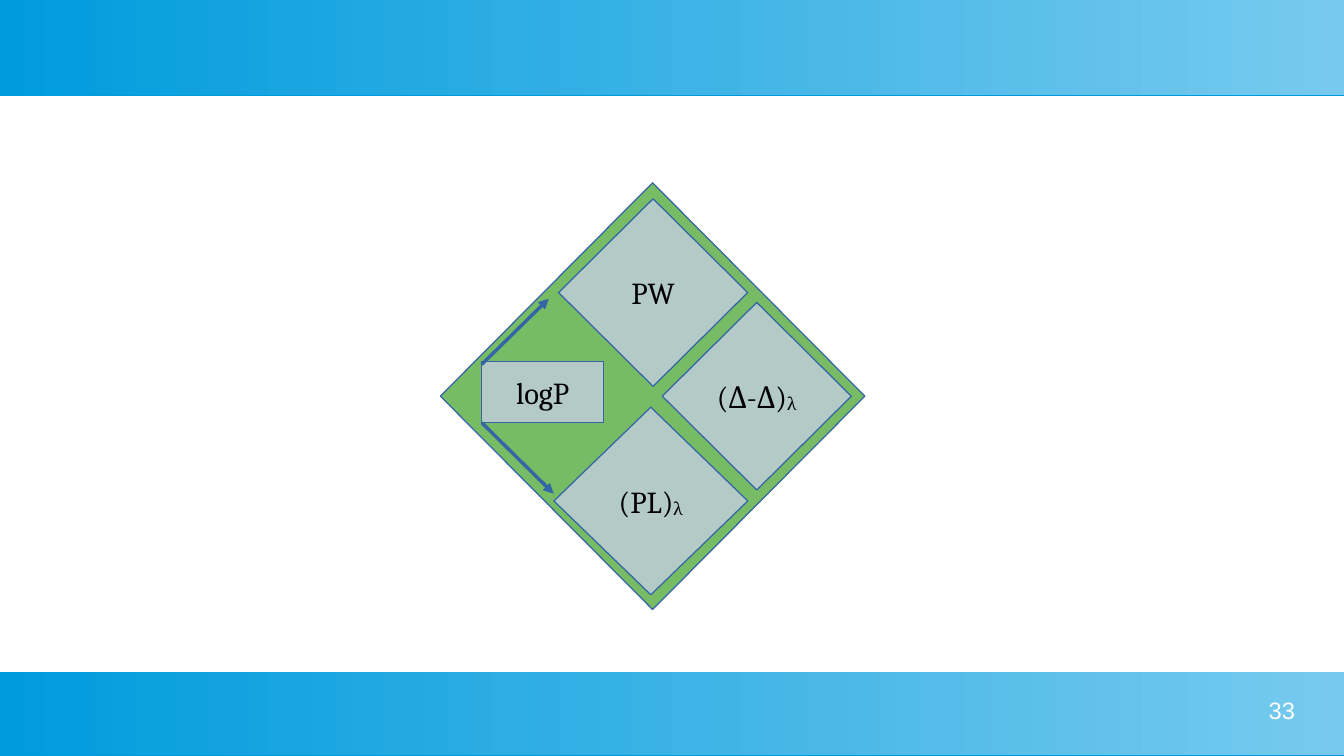
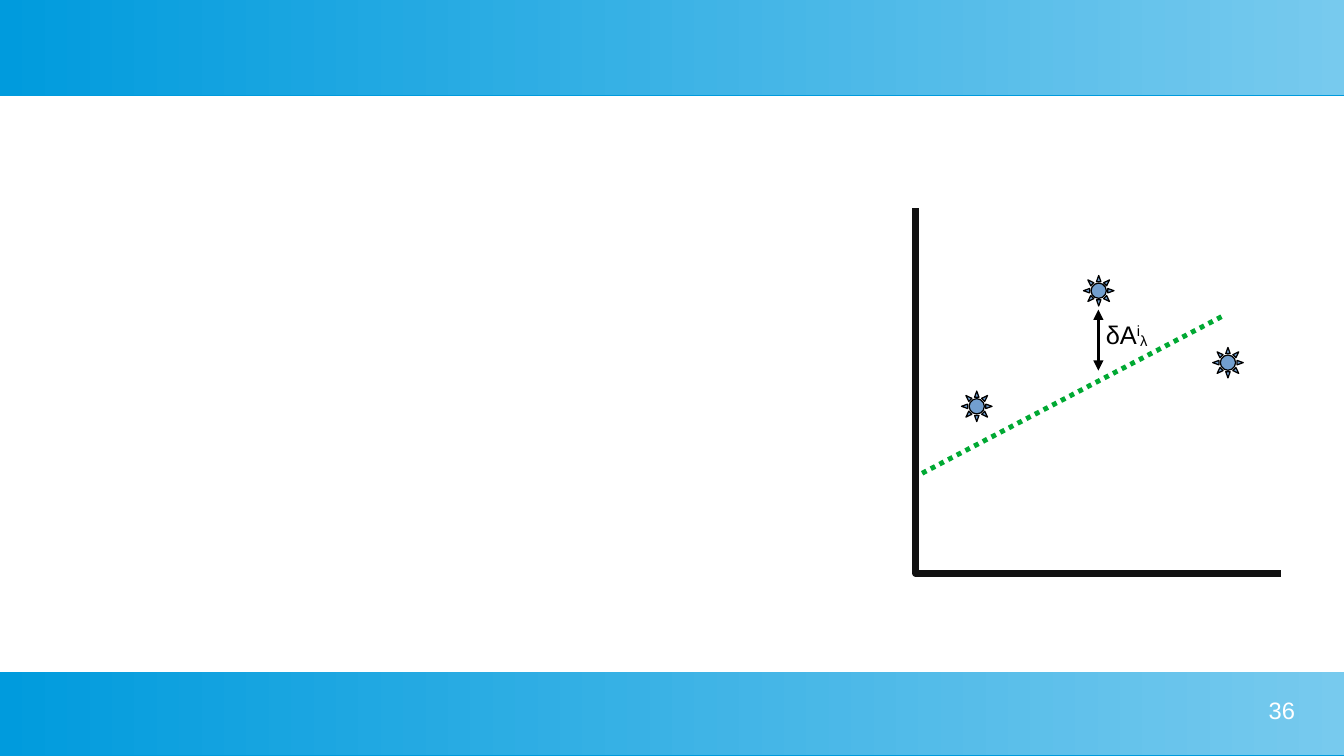
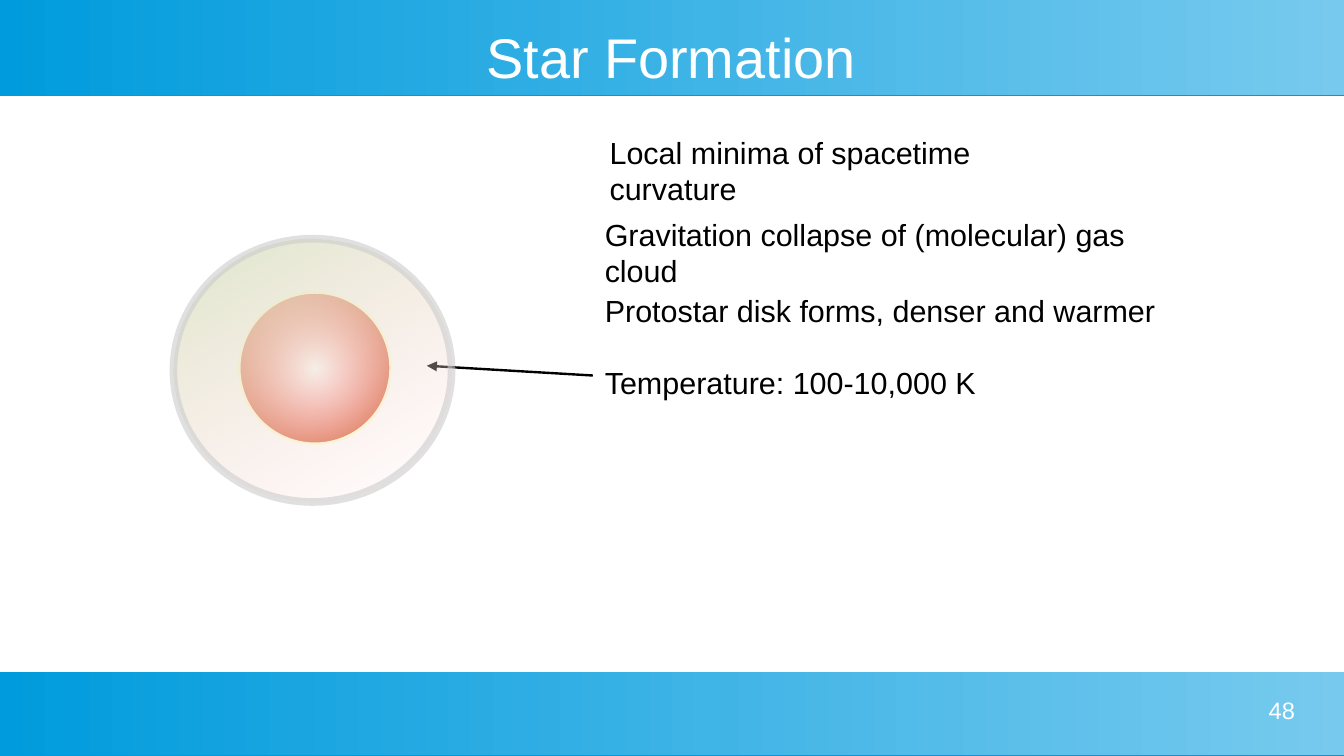
from lxml.etree import SubElement
from pptx import Presentation
from pptx.dml.color import RGBColor
from pptx.enum.dml import MSO_LINE
from pptx.enum.shapes import MSO_CONNECTOR, MSO_SHAPE
from pptx.enum.text import MSO_ANCHOR, PP_ALIGN
from pptx.oxml.ns import qn
from pptx.util import Pt

SLIDE_WIDTH, SLIDE_HEIGHT = 793.5, 446.5

BLACK = RGBColor(0x00, 0x00, 0x00)
WHITE = RGBColor(0xFF, 0xFF, 0xFF)
BAND_DARK = RGBColor(0x00, 0x9B, 0xDD)
BAND_LIGHT = RGBColor(0x77, 0xCA, 0xEE)
OUTLINE_BLUE = RGBColor(0x34, 0x65, 0xA4)
GREEN = RGBColor(0x77, 0xBC, 0x65)
GREY_GREEN = RGBColor(0xB3, 0xCA, 0xC7)
TREND_GREEN = RGBColor(0x00, 0xA9, 0x33)
AXIS_BLACK = RGBColor(0x11, 0x11, 0x11)
SUN_BLUE = RGBColor(0x72, 0x9F, 0xCF)
CORE_RED = RGBColor(0xFF, 0x00, 0x00)
CORE_BROWN = RGBColor(0xBE, 0x48, 0x0A)
CORE_RIM = RGBColor(0xFF, 0xFF, 0xD7)
CLOUD_GREEN = RGBColor(0xDD, 0xE8, 0xCB)
CLOUD_PINK = RGBColor(0xFF, 0xD7, 0xD7)
CLOUD_RIM = RGBColor(0xCC, 0xCC, 0xCC)

BODY_FONT, DIAGRAM_FONT = "Arial", "Cambria"
SUPERSCRIPT, SUBSCRIPT = 33, -8


# Formatting helpers
def set_alpha(color_parent, percent):
    color = color_parent.find(".//" + qn("a:srgbClr"))
    SubElement(color, qn("a:alpha")).set("val", str(percent * 1000))


def set_line(line, color, width=0):
    line.color.rgb = color
    line.width = Pt(width)


def set_gradient(shape, colors, angle=0, alphas=(100, 100), radial=False):
    shape.fill.gradient()
    shape.fill.gradient_angle = angle
    gradient = shape._element.spPr.find(qn("a:gradFill"))
    stop_elements = gradient.findall(".//" + qn("a:gs"))
    stops = shape.fill.gradient_stops
    for stop, element, color, alpha in zip(stops, stop_elements, colors, alphas):
        stop.color.rgb = color
        if alpha < 100:
            set_alpha(element, alpha)
    if radial:
        gradient.remove(gradient.find(qn("a:lin")))
        path = SubElement(gradient, qn("a:path"))
        path.set("path", "circle")
        center = SubElement(path, qn("a:fillToRect"))
        for side in "ltrb":
            center.set(side, "50000")


def write_text(shape, pieces, size, color=BLACK, font=BODY_FONT,
               align=PP_ALIGN.LEFT, anchor=MSO_ANCHOR.TOP, wrap=True, inset=(7.2, 3.6)):
    """Write one paragraph from (text, baseline percent) pieces."""
    frame = shape.text_frame
    frame.word_wrap = wrap
    frame.vertical_anchor = anchor
    frame.margin_left = frame.margin_right = Pt(inset[0])
    frame.margin_top = frame.margin_bottom = Pt(inset[1])
    paragraph = frame.paragraphs[0]
    paragraph.alignment = align
    paragraph.font.name = font
    paragraph.font.size = Pt(size)
    paragraph.font.color.rgb = color
    for text, baseline in pieces:
        run = paragraph.add_run()
        run.text = text
        if baseline:
            run._r.get_or_add_rPr().set("baseline", str(baseline * 1000))


# Element helpers
def add_plain_shape(slide, kind, left, top, width, height):
    shape = slide.shapes.add_shape(kind, Pt(left), Pt(top), Pt(width), Pt(height))
    shape.shadow.inherit = False
    return shape


def add_solid_shape(slide, kind, box, fill, outline):
    shape = add_plain_shape(slide, kind, *box)
    shape.fill.solid()
    shape.fill.fore_color.rgb = fill
    set_line(shape.line, outline)
    return shape


def add_text(slide, box, pieces, size, **style):
    shape = slide.shapes.add_textbox(*[Pt(length) for length in box])
    write_text(shape, pieces, size, **style)


def add_line(slide, start, end, color, width=0, dash=None, arrows=()):
    points = [Pt(length) for length in (*start, *end)]
    connector = slide.shapes.add_connector(MSO_CONNECTOR.STRAIGHT, *points)
    set_line(connector.line, color, width)
    if dash:
        connector.line.dash_style = dash
    properties = connector._element.spPr
    for arrow in arrows:
        SubElement(properties.find(qn("a:ln")), qn(arrow)).set("type", "triangle")
    SubElement(properties, qn("a:effectLst"))


def add_band(slide, top, height):
    band = add_plain_shape(slide, MSO_SHAPE.RECTANGLE, 0, top, SLIDE_WIDTH, height)
    set_gradient(band, (BAND_DARK, BAND_LIGHT))
    band.line.fill.background()
    # Thin edge below the band
    shadow = SubElement(band._element.spPr.find(qn("a:effectLst")), qn("a:outerShdw"))
    for name, value in (("dist", Pt(0.9)), ("dir", 5400000), ("rotWithShape", 0)):
        shadow.set(name, str(int(value)))
    SubElement(shadow, qn("a:srgbClr")).set("val", str(BAND_DARK))


def add_framed_slide(presentation, number, title=None):
    slide = presentation.slides.add_slide(presentation.slide_layouts[6])
    add_band(slide, 0, 56)
    add_band(slide, 396.7, 49)
    if title:
        add_text(slide, (28, 14.4, 736.6, 37.4), [(title, 0)], 33, color=WHITE,
                 align=PP_ALIGN.CENTER, anchor=MSO_ANCHOR.MIDDLE, inset=(0, 0))
    add_text(slide, (581, 411.1, 183.6, 28), [(str(number), 0)], 14, color=WHITE,
             align=PP_ALIGN.RIGHT, inset=(0, 0))
    return slide


# Slides
def build_diamond_slide(presentation):
    slide = add_framed_slide(presentation, 33)
    add_solid_shape(slide, MSO_SHAPE.DIAMOND, (260, 108, 250.6, 252), GREEN, OUTLINE_BLUE)
    cells = [
        (MSO_SHAPE.RECTANGLE, (284.4, 213.6, 72, 36), [("logP", 0)]),
        (MSO_SHAPE.DIAMOND, (327, 240.5, 114.5, 110.8), [("(PL)", 0), ("λ", SUBSCRIPT)]),
        (MSO_SHAPE.DIAMOND, (329.8, 117.4, 111.6, 110.8), [("PW", 0)]),
        (MSO_SHAPE.DIAMOND, (391, 178.6, 111.6, 110.8), [("(Δ-Δ)", 0), ("λ", SUBSCRIPT)]),
    ]
    for kind, box, pieces in cells:
        cell = add_solid_shape(slide, kind, box, GREY_GREEN, OUTLINE_BLUE)
        write_text(cell, pieces, 18, font=DIAGRAM_FONT, align=PP_ALIGN.CENTER,
                   anchor=MSO_ANCHOR.MIDDLE, wrap=False, inset=(0, 0))
    for start, end in (((284.4, 215.3), (324, 176.4)), ((284.4, 249.6), (326.9, 291.6))):
        add_line(slide, start, end, OUTLINE_BLUE, arrows=["a:tailEnd"])


def build_trend_slide(presentation):
    slide = add_framed_slide(presentation, 36)
    add_line(slide, (539.3, 282.2), (723.6, 185.8), TREND_GREEN, 2.89, MSO_LINE.ROUND_DOT)

    # Axes
    builder = slide.shapes.build_freeform(Pt(540.7), Pt(123))
    builder.add_line_segments([(Pt(540.7), Pt(338.6)), (Pt(756.5), Pt(338.6))], close=False)
    axes = builder.convert_to_shape()
    axes.shadow.inherit = False
    axes.fill.background()
    set_line(axes.line, AXIS_BLACK, 4.31)

    # Data points and the residual
    for left, top in ((567.7, 231), (716, 205.2), (639.7, 162.7)):
        add_solid_shape(slide, MSO_SHAPE.SUN, (left, top, 18, 18), SUN_BLUE, BLACK)
    add_line(slide, (648.5, 218.9), (648.5, 182.9), BLACK, arrows=["a:headEnd", "a:tailEnd"])
    add_text(slide, (645.8, 185, 49.7, 23.8),
             [("δA", 0), ("i", SUPERSCRIPT), ("λ", SUBSCRIPT)], 15)


def build_star_slide(presentation):
    slide = add_framed_slide(presentation, 48, "Star Formation")
    statements = [
        ((352.8, 75.6, 303, 26.6), "Local minima of spacetime curvature"),
        ((350, 123.8, 365, 26.6), "Gravitation collapse of (molecular) gas cloud"),
        ((350, 169.2, 367, 46.8), "Protostar disk forms, denser and warmer"),
        ((350, 211.7, 367, 46.8), "Temperature: 100-10,000 K"),
    ]
    for box, text in statements:
        add_text(slide, box, [(text, 0)], 18)
    add_line(slide, (350, 221.8), (252, 216), BLACK, 1.42, arrows=["a:tailEnd"])

    # Protostar inside its translucent cloud
    core = add_plain_shape(slide, MSO_SHAPE.OVAL, 141.3, 172.8, 89.3, 89.3)
    set_gradient(core, (CORE_RED, CORE_BROWN), alphas=(0, 100), radial=True)
    set_line(core.line, CORE_RIM, 1.42)
    cloud = add_plain_shape(slide, MSO_SHAPE.OVAL, 102.4, 141, 164.2, 155.5)
    set_gradient(cloud, (CLOUD_GREEN, CLOUD_PINK), angle=300, alphas=(100, 0))
    set_line(cloud.line, CLOUD_RIM, 4.5)
    set_alpha(cloud._element.spPr.find(qn("a:ln")), 60)


def main():
    presentation = Presentation()
    presentation.slide_width = Pt(SLIDE_WIDTH)
    presentation.slide_height = Pt(SLIDE_HEIGHT)
    build_diamond_slide(presentation)
    build_trend_slide(presentation)
    build_star_slide(presentation)
    presentation.save("out.pptx")


if __name__ == "__main__":
    main()
